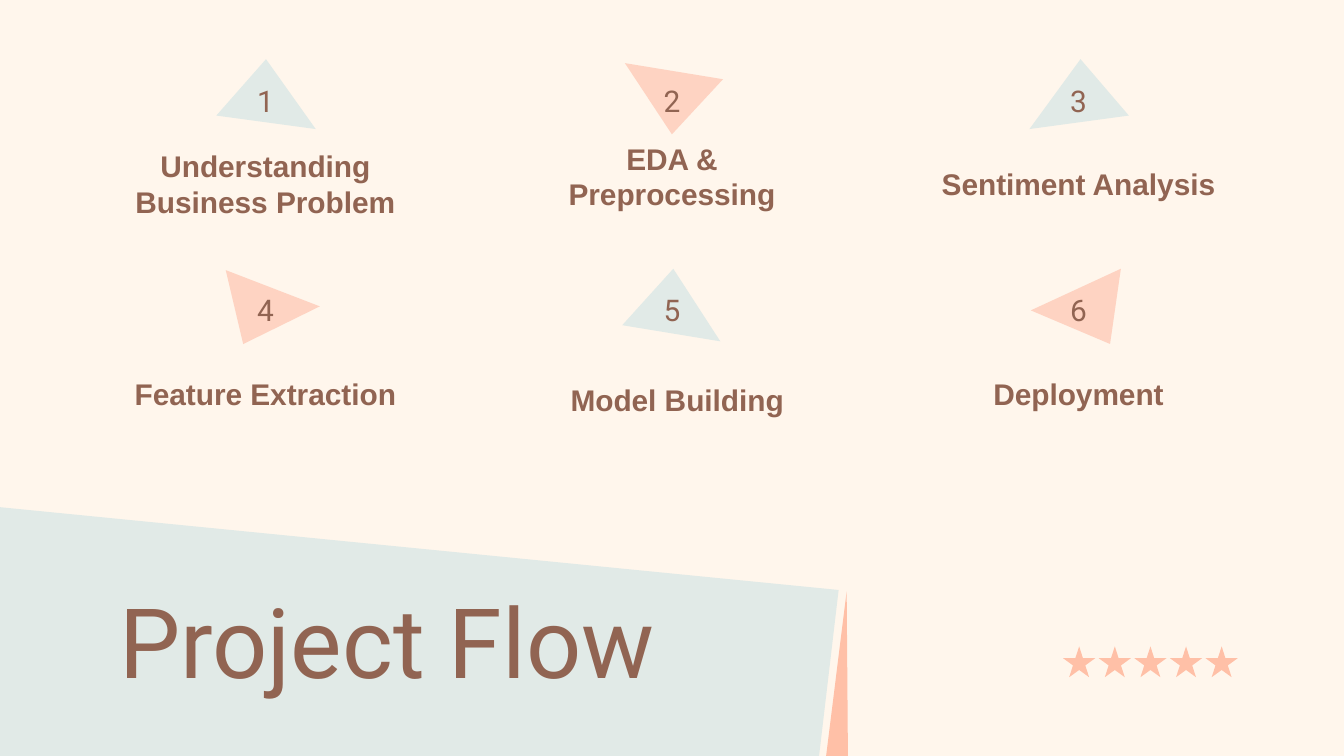
from pptx import Presentation
from pptx.dml.color import RGBColor
from pptx.enum import shapes, text
from pptx.util import Inches, Pt

CREAM = RGBColor(0xFF, 0xF6, 0xEC)
MINT = RGBColor(0xE1, 0xEA, 0xE7)
PEACH = RGBColor(0xFE, 0xD3, 0xC2)
CORAL = RGBColor(0xFF, 0xC0, 0xA7)
BROWN = RGBColor(0x91, 0x64, 0x52)

TITLE = "Project Flow"
# label, label height, right inset, triangle colour, triangle corners
STEPS = [
    ("Understanding Business Problem", 0.69, 0.1, MINT, [(1.61, 0.86), (1.98, 0.44), (2.35, 0.96)]),
    ("EDA & Preprocessing", 0.58, 0.1, PEACH, [(5.38, 0.59), (5, 1), (4.65, 0.47)]),
    ("Sentiment Analysis", 0.69, 0.1, MINT, [(8.4, 0.86), (8.04, 0.44), (7.66, 0.96)]),
    ("Feature Extraction", 0.69, 0.1, PEACH, [(1.68, 2.01), (1.81, 2.56), (2.38, 2.28)]),
    ("Model Building", 0.79, 0.02, MINT, [(4.63, 2.42), (5.01, 2), (5.36, 2.54)]),
    ("Deployment", 0.69, 0.1, PEACH, [(8.34, 2), (8.26, 2.56), (7.67, 2.31)]),
]
PANEL = [(6.08, 5.75), (-0.3, 5.73), (-0.34, 3.74), (6.24, 4.39)]
SLIVER = [(6.3, 4.4), (6.31, 5.74), (6.13, 5.76)]

COLS, LEFT, LAST_LEFT = 3, 0.78, 6.83
COL_PITCH = (LAST_LEFT - LEFT) / (COLS - 1)
LABEL_TOP, NUMBER_TOP, ROW_PITCH = 1.02, 0.59, 1.56
LABEL_W, NUMBER_W, NUMBER_H = 2.39, 0.87, 0.31
STARS, STAR_LEFT, STAR_LAST, STAR_TOP = 5, 7.91, 8.97, 4.81
STAR_PITCH = (STAR_LAST - STAR_LEFT) / (STARS - 1)

prs = Presentation()
prs.slide_width = Inches(10)
prs.slide_height = prs.slide_width * 9 // 16
s = prs.slides.add_slide(prs.slide_layouts[6])
s.background.fill.solid()
s.background.fill.fore_color.rgb = CREAM


def paint(sp, color):
    sp.shadow.inherit = False
    sp.fill.solid()
    sp.fill.fore_color.rgb = color
    sp.line.fill.background()


def add_polygon(points, color):
    corners = [(Inches(x), Inches(y)) for x, y in points]
    builder = s.shapes.build_freeform(*corners[0])
    builder.add_line_segments(corners[1:], close=True)
    paint(builder.convert_to_shape(), color)


def add_text(content, x, y, w, h, size, font, bold=False, centred=True, right=0.1):
    tf = s.shapes.add_textbox(Inches(x), Inches(y), Inches(w), Inches(h)).text_frame
    tf.word_wrap = True
    tf.margin_left = tf.margin_top = tf.margin_bottom = Inches(0.1)
    tf.margin_right = Inches(right)
    tf.text = content
    p = tf.paragraphs[0]
    if centred:
        tf.vertical_anchor = text.MSO_ANCHOR.MIDDLE
        p.alignment = text.PP_ALIGN.CENTER
    f = p.runs[0].font
    f.size, f.name, f.bold = Pt(size), font, bold
    f.color.rgb = BROWN


add_polygon(PANEL, MINT)
add_polygon(SLIVER, CORAL)
for i in range(STARS):
    star = s.shapes.add_shape(shapes.MSO_SHAPE.STAR_5_POINT, Inches(STAR_LEFT + i * STAR_PITCH),
                              Inches(STAR_TOP), Inches(0.24), Inches(0.23))
    paint(star, CORAL)

add_text(TITLE, 0.79, 4.23, 8.43, 1.12, 52, "Roboto", centred=False)
for i, (label, height, right, color, corners) in enumerate(STEPS):
    row, col = divmod(i, COLS)
    x, dy = LEFT + col * COL_PITCH, row * ROW_PITCH
    add_polygon(corners, color)
    add_text(label, x, LABEL_TOP + dy, LABEL_W, height, 16, "Arial", bold=True, right=right)
    add_text(str(i + 1), x + (LABEL_W - NUMBER_W) / 2, NUMBER_TOP + dy, NUMBER_W, NUMBER_H,
             16, "Roboto")

prs.save("out.pptx")
